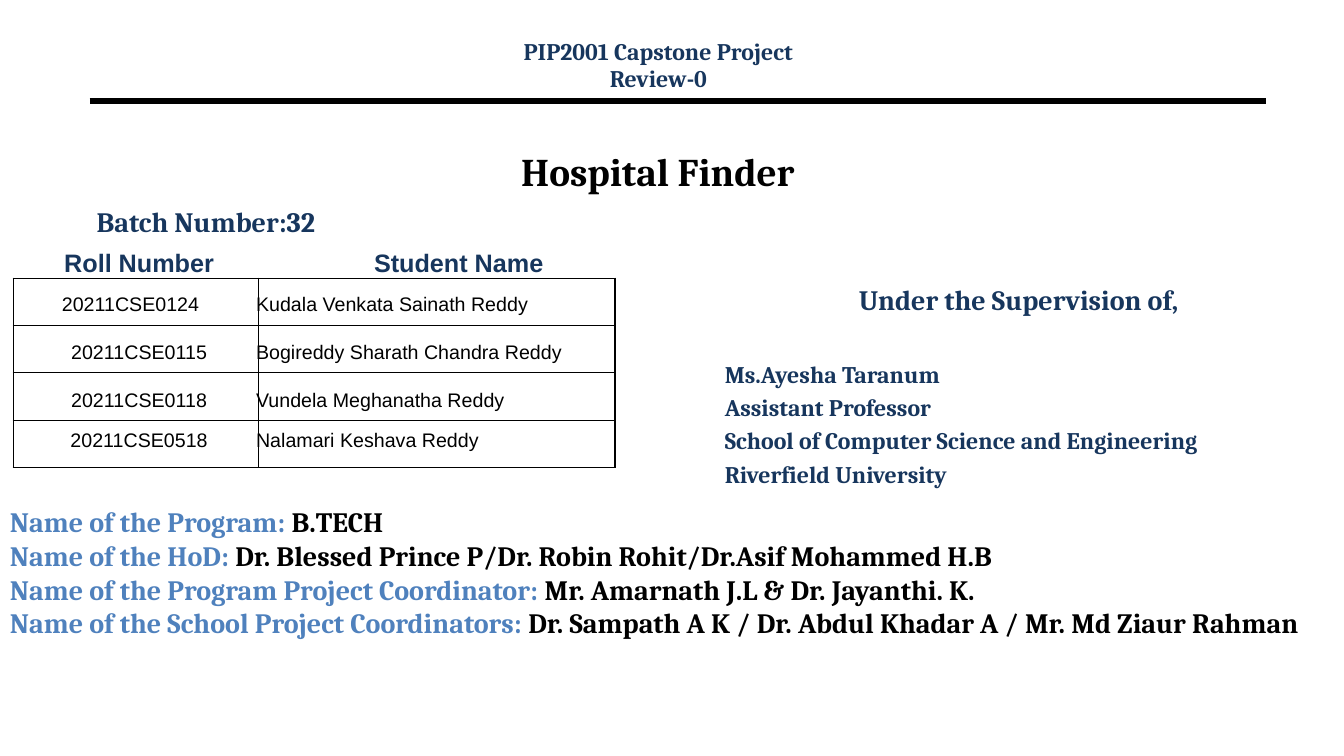
from lxml import etree
from pptx import Presentation
from pptx.dml.color import RGBColor
from pptx.enum import shapes, text
from pptx.oxml import ns
from pptx.util import Inches, Pt

BLACK = RGBColor(0x00, 0x00, 0x00)
NAVY = RGBColor(0x17, 0x36, 0x5D)
BLUE = RGBColor(0x4F, 0x81, 0xBD)
CENTER = text.PP_ALIGN.CENTER
LEFT = text.PP_ALIGN.LEFT
MIDDLE = text.MSO_ANCHOR.MIDDLE

STUDENTS = [
    ("20211CSE0124", "Kudala Venkata Sainath Reddy"),
    ("20211CSE0115", "Bogireddy Sharath Chandra Reddy"),
    ("20211CSE0118", "Vundela Meghanatha Reddy"),
    ("20211CSE0518", "Nalamari Keshava Reddy"),
]
SUPERVISOR = [
    "Ms.Ayesha Taranum",
    "Assistant Professor",
    "School of Computer Science and Engineering",
    "Riverfield University",
]
STAFF = [
    ("Name of the Program: ", "B.TECH"),
    ("Name of the HoD: ", "Dr. Blessed Prince P/Dr. Robin Rohit/Dr.Asif Mohammed H.B"),
    ("Name of the Program Project Coordinator: ", "Mr. Amarnath J.L & Dr. Jayanthi. K."),
    ("Name of the School Project Coordinators: ",
     "Dr. Sampath A K / Dr. Abdul Khadar A / Mr. Md Ziaur Rahman"),
]


def set_font(font, size, color=None, name="Cambria", bold=True):
    """Apply size, typeface, weight and optional colour to a font."""
    font.size, font.name, font.bold = Pt(size), name, bold
    if color is not None:
        font.color.rgb = color


def add_box(page, left, top, width, height, anchor=text.MSO_ANCHOR.TOP):
    """Add a wrapping text box and return its text frame."""
    box = page.shapes.add_textbox(Inches(left), Inches(top), Inches(width), Inches(height))
    box.text_frame.word_wrap = True
    box.text_frame.vertical_anchor = anchor
    return box.text_frame


def add_para(frame, spans, size, align=LEFT, before=0):
    """Append a bold paragraph made of (words, colour) spans."""
    para = frame.paragraphs[-1]
    if para.runs:
        para = frame.add_paragraph()
    para.alignment, para.space_before = align, Pt(before)
    set_font(para.font, size)
    for words, color in spans:
        span = para.add_run()
        span.text = words
        set_font(span.font, size, color)
    return para


def add_plain_table(page, left, top, widths, heights):
    """Add a table without fills or banding."""
    table = page.shapes.add_table(
        len(heights), len(widths), Inches(left), Inches(top),
        Inches(sum(widths)), Inches(sum(heights))).table
    table.first_row = table.horz_banding = False
    for column, width in zip(table.columns, widths):
        column.width = Inches(width)
    for row, height in zip(table.rows, heights):
        row.height = Inches(height)
    for cell in table.iter_cells():
        cell.fill.background()
    return table


def add_borders(cell):
    """Draw thin black lines on all four sides of a cell."""
    props = cell._tc.get_or_add_tcPr()
    for index, side in enumerate(("lnL", "lnR", "lnT", "lnB")):
        line = etree.Element(ns.qn(f"a:{side}"), w=str(Pt(1)))
        fill = etree.SubElement(line, ns.qn("a:solidFill"))
        etree.SubElement(fill, ns.qn("a:srgbClr"), val=str(BLACK))
        props.insert(index, line)


def add_students(page):
    """Add the student list and the ruled grid over it."""
    table = add_plain_table(page, 0.32, 2.42, [2.12, 4.22], [0.4, 0.4, 0.55, 0.4, 0.4, 0.4])
    rows = [("Roll Number", "Student Name"), *STUDENTS]
    for row, entries in enumerate(rows):
        for column, words in enumerate(entries):
            cell = table.cell(row, column)
            cell.text = words
            cell.vertical_anchor = MIDDLE
            para = cell.text_frame.paragraphs[0]
            para.alignment = CENTER if row == 0 or column == 0 else LEFT
            if row == 0:
                set_font(para.font, 18, NAVY, "Arial")
            else:
                set_font(para.font, 14, BLACK, "Arial", False)
    table.cell(1, 0).margin_right = Inches(0.27)
    grid = add_plain_table(page, 0.13, 2.76, [2.43, 3.54], [0.47] * len(STUDENTS))
    for cell in grid.iter_cells():
        add_borders(cell)


def add_rule(page, left, right, top):
    """Add the thick line under the heading."""
    rule = page.shapes.add_connector(
        shapes.MSO_CONNECTOR.STRAIGHT, Inches(left), Inches(top), Inches(right), Inches(top))
    rule.line.color.rgb = BLACK
    rule.line.width = Pt(4.5)
    etree.SubElement(rule._element.spPr, ns.qn("a:effectLst"))


def main():
    """Build the project review slide."""
    deck = Presentation()
    deck.slide_width, deck.slide_height = Inches(13.33), Inches(7.5)
    page = deck.slides.add_slide(deck.slide_layouts[6])

    add_rule(page, 0.89, 12.56, 1)
    title = add_box(page, 0.86, 1.17, 11.33, 1.05, MIDDLE)
    add_para(title, [("Hospital Finder", BLACK)], 28, CENTER)
    batch = add_box(page, 0.86, 1.98, 4.34, 0.44)
    add_para(batch, [("Batch Number:32", NAVY)], 20)
    add_students(page)

    supervision = add_box(page, 7.09, 2.75, 6.03, 2.21)
    add_para(supervision, [("Under the Supervision of,", NAVY)], 20, CENTER)
    for index, words in enumerate(SUPERVISOR):
        add_para(supervision, [(words, NAVY)], 17, before=3.4 if index else 31)

    heading = add_box(page, 4.36, 0.37, 4.34, 0.6)
    for words, before in (("PIP2001 Capstone Project", 0), ("Review-0", 3.1)):
        add_para(heading, [(words, NAVY)], 17, CENTER, before).line_spacing = 0.8

    staff = add_box(page, 0, 4.96, 13.4, 1.71)
    for role, names in STAFF:
        add_para(staff, [(role, BLUE), (names, BLACK)], 20)
    deck.save("out.pptx")


if __name__ == "__main__":
    main()
